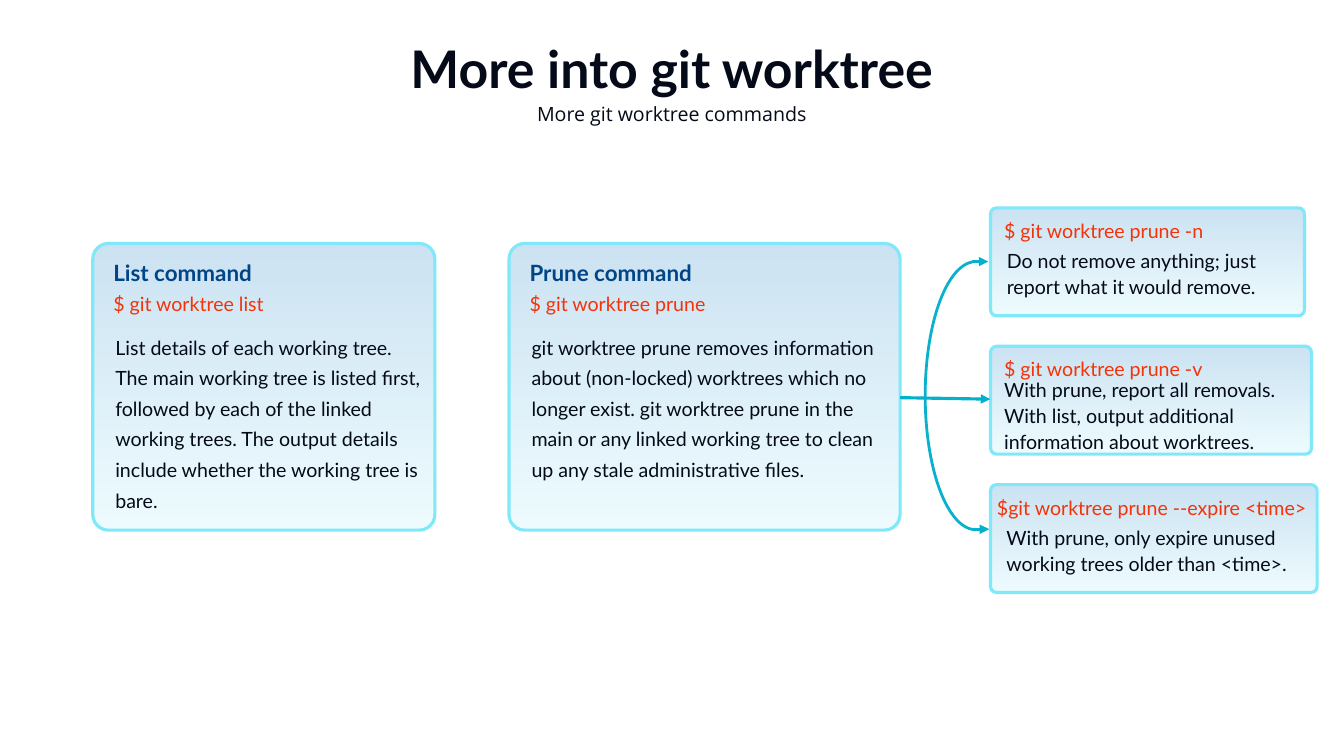
from dataclasses import dataclass

from lxml import etree
from pptx import Presentation
from pptx.dml.color import RGBColor
from pptx.enum.shapes import MSO_CONNECTOR, MSO_SHAPE
from pptx.enum.text import MSO_AUTO_SIZE, PP_ALIGN
from pptx.oxml.ns import qn
from pptx.util import Inches, Pt

ROUNDED, ARC = MSO_SHAPE.ROUNDED_RECTANGLE, MSO_SHAPE.ARC
STRAIGHT = MSO_CONNECTOR.STRAIGHT
GROW, CENTER = MSO_AUTO_SIZE.SHAPE_TO_FIT_TEXT, PP_ALIGN.CENTER
WIDTH, HEIGHT = 26.67, 15
NAVY, BLUE, RED = "050A19", "004586", "F43308"
CARD_TOP, CARD_BOTTOM, CARD_EDGE = "0070C0", "AAF0FB", "7FE8F9"
ARC_COLOR, ARROW_COLOR = "09B1CC", "04B1CC"
CARD_ALPHA = "20000"


@dataclass(frozen=True)
class Style:
    size: int
    color: str
    font: str = "Lato"
    bold: bool = False
    spacing: float = 1.0
    centered: bool = False


@dataclass(frozen=True)
class Box:
    x: float
    y: float
    w: float
    h: float


@dataclass(frozen=True)
class Label:
    box: Box
    text: str
    style: Style


@dataclass(frozen=True)
class Card:
    box: Box
    labels: tuple[Label, ...]


@dataclass(frozen=True)
class Arrow:
    x1: float
    y1: float
    x2: float
    y2: float


TITLE = Style(74, NAVY, bold=True, centered=True)
SUBTITLE = Style(28, NAVY, font="Open Sans", centered=True)
HEADING = Style(32, BLUE, bold=True)
COMMAND = Style(28, RED, spacing=1.3)
DETAIL = Style(28, NAVY, spacing=1.3)
OPTION = Style(28, NAVY, spacing=1.1)


def main_card(x: float, w: float, heading: str, command: str, detail: str) -> Card:
    return Card(Box(x, 32.2, w, 37.93), (
        Label(Box(1.16, 1.8, 21.2, 4.27), heading, HEADING),
        Label(Box(1.16, 5.2, w, 4.73), command, COMMAND),
        Label(Box(1.31, 10.93, w - 1.7, 25.13), detail, DETAIL),
    ))


def option_card(row: int, w: float, command: str, dx: float,
                detail: str, detail_box: Box) -> Card:
    return Card(Box(73.7, 27.5 + 18.3 * row, w, 14.27), (
        Label(Box(dx, 0.2, 25.2, 4.73), command, COMMAND),
        Label(detail_box, detail, OPTION),
    ))


HEADERS = (
    Label(Box(6.86, 4.87, 86.24, 8.47), "More into git worktree", TITLE),
    Label(Box(6.86, 13.53, 86.24, 3.27), "More git worktree commands", SUBTITLE),
)
CARDS = (
    main_card(6.9, 25.46, "List command", "$ git worktree list",
              "List details of each working tree. The main working tree is listed first, "
              "followed by each of the linked working trees. The output details include "
              "whether the working tree is bare."),
    main_card(37.87, 29.1, "Prune command", "$ git worktree prune",
              "git worktree prune removes information about (non-locked) worktrees which "
              "no longer exist. git worktree prune in the main or any linked working tree "
              "to clean up any stale administrative files."),
    option_card(0, 23.36, "$ git worktree prune -n", 0.64,
                "Do not remove anything; just report what it would remove.",
                Box(0.84, 4.8, 20.6, 7.6)),
    option_card(1, 23.88, "$ git worktree prune -v", 0.64,
                "With prune, report all removals. With list, output additional "
                "information about worktrees.",
                Box(0.64, 3.53, 22.9, 11)),
    option_card(2, 24.3, "$git worktree prune --expire <time>", 0.11,
                "With prune, only expire unused working trees older than <time>.",
                Box(0.82, 4.87, 23.36, 7.6)),
)
BRANCH = Box(68.84, 34.6, 7.54, 35.47)
ARROWS = (
    Arrow(72.33, 34.6, 73.53, 34.6),
    Arrow(72.52, 70, 73.6, 70),
    Arrow(66.97, 52.6, 73.68, 52.8),
)


def rgb(color: str) -> RGBColor:
    return RGBColor.from_string(color)


def across(share: float) -> int:
    return Inches(WIDTH * share / 100)


def down(share: float) -> int:
    return Inches(HEIGHT * share / 100)


def place(box: Box) -> tuple[int, int, int, int]:
    return across(box.x), down(box.y), across(box.w), down(box.h)


def add_label(s, label: Label, x: float = 0, y: float = 0) -> None:
    b, style = label.box, label.style
    tf = s.shapes.add_textbox(*place(Box(x + b.x, y + b.y, b.w, b.h))).text_frame
    tf.word_wrap = True
    p = tf.paragraphs[0]
    if style.centered:
        tf.margin_left = tf.margin_right = tf.margin_top = tf.margin_bottom = 0
        p.alignment = CENTER
    else:
        tf.auto_size = GROW
    p.line_spacing = style.spacing
    r = p.add_run()
    r.text = label.text
    r.font.name = style.font
    r.font.size = Pt(style.size)
    r.font.bold = style.bold
    r.font.color.rgb = rgb(style.color)


def add_card(s, card: Card) -> None:
    sp = s.shapes.add_shape(ROUNDED, *place(card.box))
    sp.shadow.inherit = False
    sp.adjustments[0] = 0.055
    sp.fill.gradient()
    sp.fill.gradient_angle = 270
    for stop, color in zip(sp.fill.gradient_stops, (CARD_TOP, CARD_BOTTOM)):
        stop.color.rgb = rgb(color)
    for clr in sp._element.spPr.iter(qn("a:srgbClr")):
        etree.SubElement(clr, qn("a:alpha")).set("val", CARD_ALPHA)
    sp.line.color.rgb = rgb(CARD_EDGE)
    sp.line.width = Pt(4.5)
    for label in card.labels:
        add_label(s, label, card.box.x, card.box.y)


def add_branch(s, box: Box) -> None:
    sp = s.shapes.add_shape(ARC, *place(box))
    sp.shadow.inherit = False
    sp.adjustments[0], sp.adjustments[1] = 54, 162
    sp.fill.background()
    sp.line.color.rgb = rgb(ARC_COLOR)
    sp.line.width = Pt(4)


def add_arrow(s, a: Arrow) -> None:
    c = s.shapes.add_connector(STRAIGHT, across(a.x1), down(a.y1), across(a.x2), down(a.y2))
    c.line.color.rgb = rgb(ARROW_COLOR)
    c.line.width = Pt(4.5)
    etree.SubElement(c.line._get_or_add_ln(), qn("a:tailEnd")).set("type", "triangle")
    etree.SubElement(c._element.spPr, qn("a:effectLst"))


def main() -> None:
    prs = Presentation()
    prs.slide_width, prs.slide_height = Inches(WIDTH), Inches(HEIGHT)
    s = prs.slides.add_slide(prs.slide_layouts[6])
    for label in HEADERS:
        add_label(s, label)
    for card in CARDS:
        add_card(s, card)
    add_branch(s, BRANCH)
    for arrow in ARROWS:
        add_arrow(s, arrow)
    prs.save("out.pptx")


if __name__ == "__main__":
    main()
